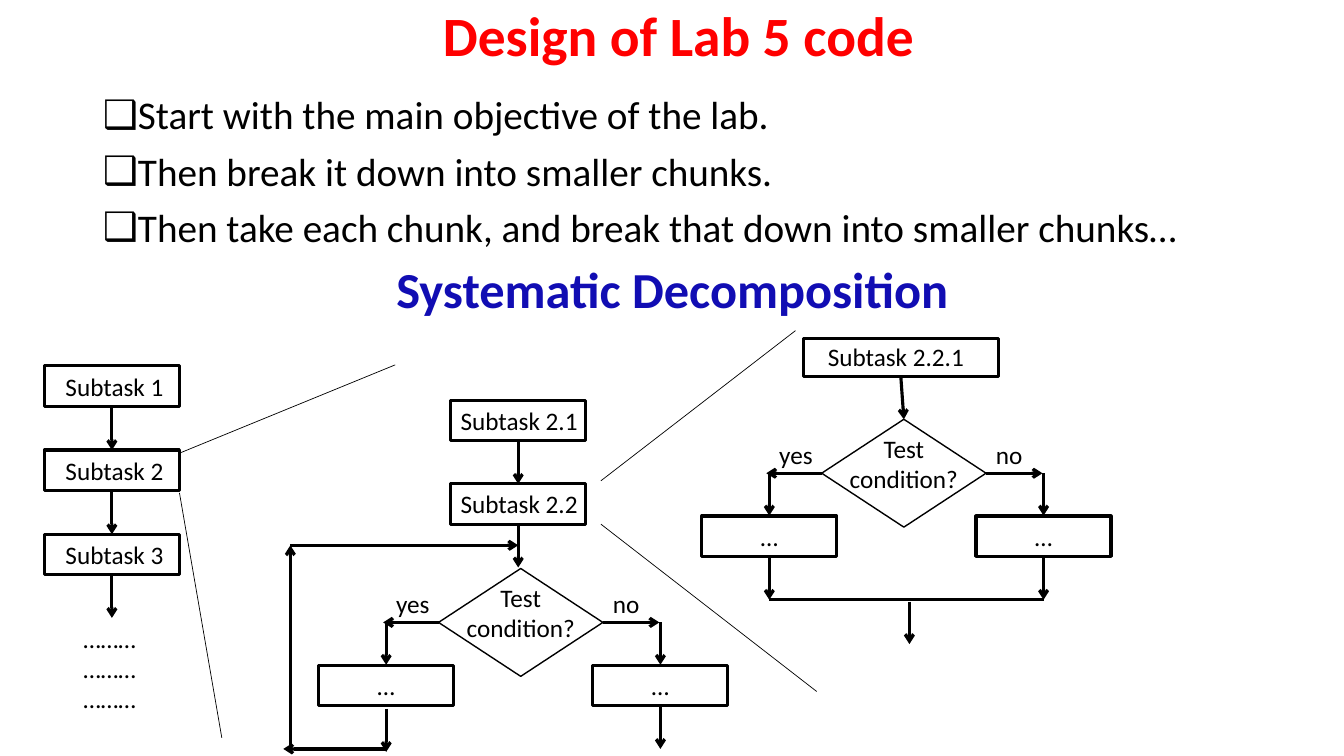
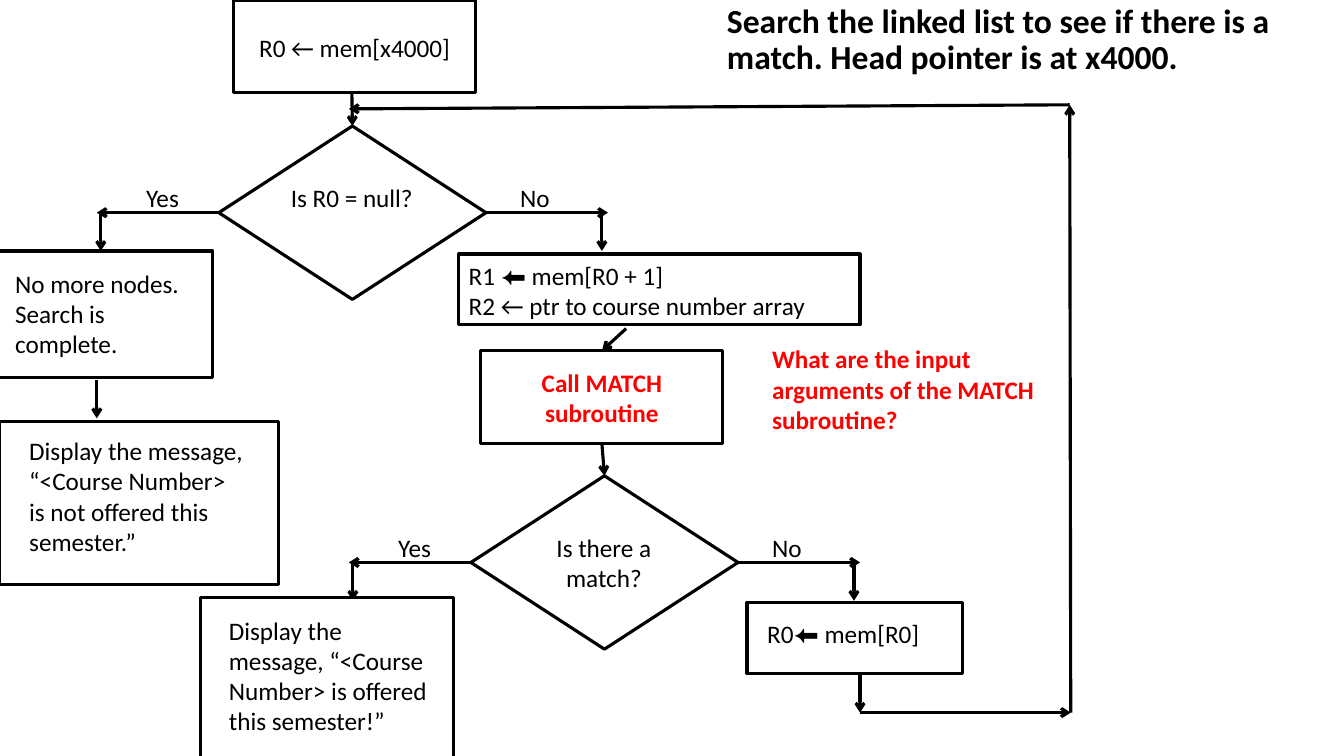
from lxml import etree
from pptx import Presentation
from pptx.dml.color import RGBColor
from pptx.enum.shapes import MSO_CONNECTOR, MSO_SHAPE
from pptx.enum.text import MSO_ANCHOR, MSO_AUTO_SIZE, PP_ALIGN
from pptx.oxml.ns import qn
from pptx.util import Inches, Pt

RECT, DIAMOND = MSO_SHAPE.RECTANGLE, MSO_SHAPE.DIAMOND
STRAIGHT = MSO_CONNECTOR.STRAIGHT
LEFT, CENTER = PP_ALIGN.LEFT, PP_ALIGN.CENTER
TOP_TEXT, MID_TEXT = MSO_ANCHOR.TOP, MSO_ANCHOR.MIDDLE
FIXED = MSO_AUTO_SIZE.NONE

BLACK = RGBColor(0x00, 0x00, 0x00)
WHITE = RGBColor(0xFF, 0xFF, 0xFF)
RED = RGBColor(0xFF, 0x00, 0x00)
BLUE = RGBColor(0x11, 0x0D, 0xB3)

FONT = "Calibri"
THICK, THIN = 2.25, 0.5
TOP, WEST, BOTTOM, EAST = 0, 1, 2, 3  # connection sites

# Two sizes of test; offsets run from the diamond's top left corner
SMALL = dict(size=(1.63, 1.07), line=1, text=(0.15, 0.09, 1.33, 0.71),
             tips=(-0.55, 2.19), feet=(-0.52, 2.2), drop=0.42,
             words=(("yes", -0.52), ("no", 1.63)), rise=0.15)
LARGE = dict(size=(2.65, 1.72), line=THICK, text=(0.6, 0.51, 1.44, 0.71),
             tips=(-1.21, 3.86), feet=(-1.17, 3.8), drop=0.38,
             words=(("Yes", -0.82), ("No", 2.89)), rise=0.51)


# Text
def write(frame, lines, size=18, color=BLACK, bold=False, align=LEFT):
    frame.word_wrap = True
    frame.text = lines
    for para in frame.paragraphs:
        para.alignment = align
        para.font.color.rgb = color
        for key, value in dict(name=FONT, size=Pt(size), bold=bold).items():
            setattr(para.font, key, value)


def place(shape, left, top, width, height):
    spots = dict(left=left, top=top, width=width, height=height)
    for key, value in spots.items():
        setattr(shape, key, Inches(value))


def head(slide, area, text, **style):
    title = slide.shapes.title
    place(title, *area)
    frame = title.text_frame
    write(frame, text, bold=True, **style)
    frame.auto_size = FIXED
    frame.vertical_anchor = MID_TEXT
    frame.paragraphs[0].line_spacing = 0.9


def label(slide, area, text, **style):
    box = slide.shapes.add_textbox(*map(Inches, area))
    write(box.text_frame, text, **style)


def bullet(para, mark):
    props = para._p.get_or_add_pPr()
    indent = Inches(0.25) if mark else 0
    props.set("marL", str(indent))
    props.set("indent", str(-indent))
    if mark:
        etree.SubElement(props, qn("a:buChar")).set("char", mark)
    else:
        etree.SubElement(props, qn("a:buNone"))


# Flowchart parts
def block(slide, kind, area, line=THICK):
    shape = slide.shapes.add_shape(kind, *map(Inches, area))
    shape.shadow.inherit = False
    shape.fill.solid()
    shape.fill.fore_color.rgb = WHITE
    shape.line.color.rgb = BLACK
    shape.line.width = Pt(line)
    return shape


def box(slide, area, text, pad=None, **style):
    """Centre the text, or start it at pad (left, top, right)."""
    shape = block(slide, RECT, area)
    frame = shape.text_frame
    write(frame, text, align=LEFT if pad else CENTER, **style)
    frame.vertical_anchor = TOP_TEXT if pad else MID_TEXT
    if pad:
        sides = ("margin_left", "margin_top", "margin_right", "margin_bottom")
        for side, gap in zip(sides, (*pad, 0)):
            setattr(frame, side, Inches(gap))
    return shape


def link(slide, start, end, tip=True, width=THICK):
    """Each end is a point (x, y) or a joint (shape, site)."""
    joints = [hasattr(spot[0], "left") for spot in (start, end)]
    ends = [(0, 0) if joint else spot
            for joint, spot in zip(joints, (start, end))]
    line = slide.shapes.add_connector(
        STRAIGHT, *(Inches(value) for spot in ends for value in spot))
    if joints[0]:
        line.begin_connect(*start)
    if joints[1]:
        line.end_connect(*end)
    line.line.color.rgb = BLACK
    line.line.width = Pt(width)
    if tip:
        stroke = line.line._get_or_add_ln()
        etree.SubElement(stroke, qn("a:tailEnd")).set("type", "arrow")
    etree.SubElement(line._element.spPr, qn("a:effectLst"))


def trail(slide, *spots):
    for start, end in zip(spots, spots[1:]):
        link(slide, start, end)


def fork(slide, left, top, kind, text):
    """Draw a test with its two arms."""
    width, height = kind["size"]
    mid = top + height / 2
    gem = block(slide, DIAMOND, (left, top, width, height), kind["line"])
    dx, dy, wide, tall = kind["text"]
    label(slide, (left + dx, top + dy, wide, tall), text, align=CENTER)
    for site, tip, foot in zip((WEST, EAST), kind["tips"], kind["feet"]):
        link(slide, (gem, site), (left + tip, mid))
        link(slide, (left + foot, mid), (left + foot, mid + kind["drop"]))
    for word, shift in kind["words"]:
        label(slide, (left + shift, top + kind["rise"], 0.79, 0.4), word)
    return gem


def split(slide, left, top):
    """Draw a small test and the box under each arm."""
    gem = fork(slide, left, top, SMALL, "Test condition?")
    kids = [box(slide, (left + foot - 0.67, top + 0.96, 1.34, 0.4), "…")
            for foot in SMALL["feet"]]
    return gem, kids


# Slides
def design(deck):
    slide = deck.slides.add_slide(deck.slide_layouts[1])
    head(slide, (0.98, 0.02, 11.5, 0.72), "Design of Lab 5 code",
         size=39.6, color=RED, align=CENTER)

    # Steps and subtitle
    body = slide.placeholders[1]
    place(body, 0.92, 0.9, 11.5, 4.76)
    frame = body.text_frame
    write(frame, "Start with the main objective of the lab.\n"
                 "Then break it down into smaller chunks.\n"
                 "Then take each chunk, and break that down into smaller "
                 "chunks…\n"
                 "Systematic Decomposition", size=28)
    frame.auto_size = FIXED
    for para in frame.paragraphs:
        para.line_spacing = 0.9
        para.space_before = Pt(10)
    *steps, last = frame.paragraphs
    for para in steps:
        bullet(para, "❑")
    bullet(last, None)
    last.alignment = CENTER
    last.font.size, last.font.bold = Pt(36), True
    last.font.color.rgb = BLUE

    # Main tasks
    tasks = [box(slide, (0.44, 3.63 + 0.835 * i, 1.34, 0.4),
                 f"Subtask {i + 1}", (0.21, 0.05, 0)) for i in range(3)]
    for upper, lower in zip(tasks, tasks[1:]):
        link(slide, (upper, BOTTOM), (lower, TOP))
    link(slide, (tasks[-1], BOTTOM), (1.11, 6.13))
    label(slide, (0.73, 6.13, 0.83, 1.01), "………………\n………")

    # Zoom lines
    for start, end in (((1.77, 4.5), (3.92, 3.62)),
                       ((1.78, 4.89), (2.2, 7.32)),
                       ((5.96, 4.77), (7.89, 3.28)),
                       ((5.96, 5.2), (8.1, 6.86))):
        link(slide, start, end, tip=False, width=THIN)

    # Second level, with its loop
    first, second = [box(slide, (4.47, top, 1.34, 0.4), f"Subtask 2.{i}",
                         (0.1, 0.05, 0))
                     for i, top in enumerate((3.97, 4.8), 1)]
    link(slide, (first, BOTTOM), (second, TOP))
    link(slide, (second, BOTTOM), (5.14, 5.63))
    _, kids = split(slide, 4.35, 5.64)
    link(slide, (kids[1], BOTTOM), (6.55, 7.43))
    link(slide, (3.83, 7.03), (3.83, 7.46))
    link(slide, (3.83, 7.43), (2.81, 7.43))
    trail(slide, (2.88, 7.43), (2.88, 5.41), (5.14, 5.41))

    # Third level
    third = box(slide, (7.97, 3.36, 1.93, 0.38), "Subtask 2.2.1",
                (0.24, 0.03, 0))
    gem, kids = split(slide, 8.15, 4.16)
    link(slide, (third, BOTTOM), (gem, TOP))
    for kid, x in zip(kids, (7.63, 10.35)):
        link(slide, (kid, BOTTOM), (x, 5.95))
    link(slide, (7.63, 5.95), (10.35, 5.95), tip=False)
    link(slide, (9.02, 5.97), (9.02, 6.39))


def search(deck):
    slide = deck.slides.add_slide(deck.slide_layouts[5])
    head(slide, (7.11, -0.01, 6.29, 0.83),
         "Search the linked list to see if there is a match. "
         "Head pointer is at x4000.", size=24)

    # Test for the end of the list
    box(slide, (2.32, 0, 2.4, 0.92), "R0 ← mem[x4000]", (0.25, 0.32, 0))
    gem = fork(slide, 2.17, 1.25, LARGE, "Is R0 = null?")
    link(slide, (3.49, 0.92), (gem, TOP))
    box(slide, (-0.03, 2.49, 2.14, 1.26),
        "No more nodes. Search is complete.", (0.18, 0.17, 0.22))
    link(slide, (0.96, 3.77), (0.96, 4.15))
    box(slide, (-0.01, 4.18, 2.77, 1.62),
        "Display the message, “<Course Number> is not offered this "
        "semester.”", (0.3, 0.14, 0.34))

    # Call of the subroutine
    box(slide, (4.55, 2.52, 3.98, 0.7),
        "R1 ⬅ mem[R0 + 1]\nR2 ← ptr to course number array",
        (0.1, 0.06, 0))
    call = box(slide, (4.77, 3.48, 2.4, 0.92), "Call MATCH subroutine",
               color=RED, bold=True)
    link(slide, (6.21, 3.26), (call, TOP))
    label(slide, (7.56, 3.36, 2.88, 1.01),
          "What are the input arguments of the MATCH subroutine?",
          color=RED, bold=True)

    # Test for a match
    gem = fork(slide, 4.67, 4.72, LARGE, "Is there a match?")
    link(slide, (call, BOTTOM), (gem, TOP))
    box(slide, (1.99, 5.93, 2.51, 1.62),
        "Display the message, “<Course Number> is offered this semester!”",
        (0.28, 0.17, 0.19))
    box(slide, (7.41, 5.98, 2.14, 0.7), "R0⬅ mem[R0]", (0.2, 0.15, 0))

    # Way back to the first test
    trail(slide, (8.53, 6.69), (8.53, 7.07), (10.62, 7.07),
          (10.61, 1.04), (3.46, 1.08))


def main():
    deck = Presentation()
    deck.slide_width, deck.slide_height = Inches(13.33), Inches(7.5)
    design(deck)
    search(deck)
    deck.save("out.pptx")


if __name__ == "__main__":
    main()
